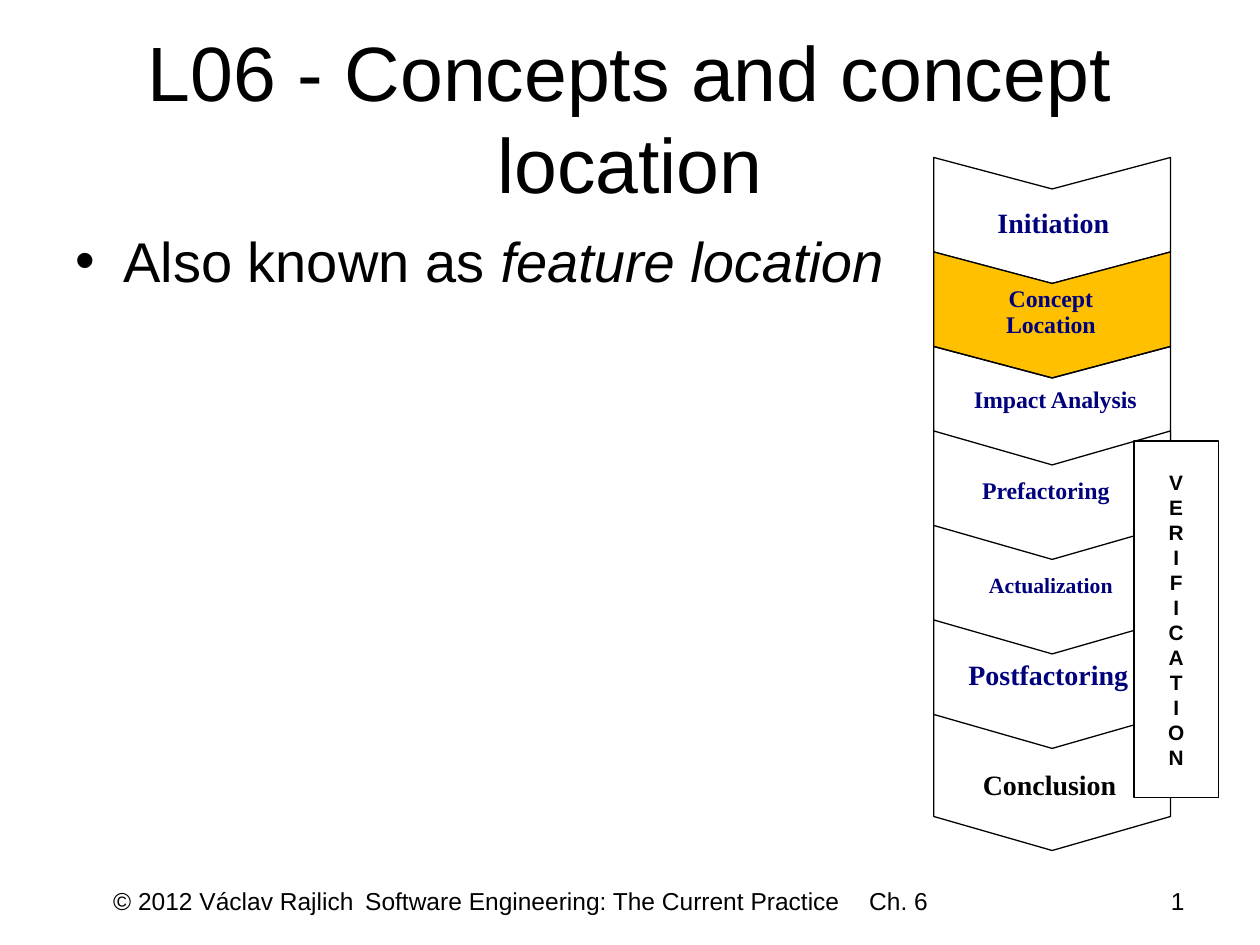
from typing import NamedTuple, Optional

from lxml.etree import SubElement
from pptx import Presentation
from pptx.dml.color import RGBColor
from pptx.enum.shapes import MSO_SHAPE
from pptx.enum.text import MSO_ANCHOR, MSO_AUTO_SIZE, PP_ALIGN
from pptx.oxml.ns import qn
from pptx.util import Inches, Pt

BLACK, WHITE, NAVY, AMBER = "000000", "FFFFFF", "00007D", "FFC000"
STAGE_WIDTH, STAGE_CENTER = 1.88, 8.35


class Stage(NamedTuple):
    name: str
    top: float
    height: float
    fill: Optional[str]
    label: tuple
    size: float
    spacing: float = 1.0
    color: str = NAVY


STAGES = [
    Stage("Initiation", 1.25, 1, WHITE, (7.67, 1.58, 1.38, 0.37), 16),
    Stage("Concept Location", 2, 1, AMBER, (7.53, 2.23, 1.62, 0.58), 13.6, 0.9),
    Stage("Impact Analysis", 2.75, 1, None, (7.5, 3.03, 1.75, 0.34), 13.6, 0.9),
    Stage("Prefactoring", 3.42, 1.08, WHITE, (7.53, 3.75, 1.54, 0.34), 13.6, 0.9),
    Stage("Actualization", 4.17, 1.08, WHITE, (7.57, 4.53, 1.54, 0.31), 12.4, 0.8),
    Stage("Postfactoring", 4.92, 1.08, WHITE, (7.42, 5.17, 1.8, 0.64), 16),
    Stage("Conclusion", 5.67, 1.08, WHITE, (7.56, 6.04, 1.54, 0.37), 16, color=BLACK),
]


def rgb(color: str) -> RGBColor:
    return RGBColor.from_string(color)


def place(shape, left: float, top: float, width: float, height: float) -> None:
    frame = {"left": left, "top": top, "width": width, "height": height}
    for name, value in frame.items():
        setattr(shape, name, Inches(value))


def add_span(para, text: str, size: float, color: str = BLACK, **formats) -> None:
    span = para.add_run()
    span.text = text
    values = {"name": "Arial", "size": Pt(size), "bold": False, **formats}
    for name, value in values.items():
        setattr(span.font, name, value)
    span.font.color.rgb = rgb(color)


def add_label(page, area: tuple, align):
    box = page.shapes.add_textbox(*map(Inches, area))
    box.text_frame.word_wrap = True
    para = box.text_frame.paragraphs[0]
    para.alignment = align
    return para


def add_outlined(page, kind, area: tuple, fill: Optional[str]):
    shape = page.shapes.add_shape(kind, *map(Inches, area))
    shape.shadow.inherit = False
    if fill:
        shape.fill.solid()
        shape.fill.fore_color.rgb = rgb(fill)
    else:
        shape.fill.background()
    shape.line.color.rgb = rgb(BLACK)
    shape.line.width = Pt(0.75)
    return shape


def add_chevron(page, stage: Stage) -> None:
    left = STAGE_CENTER - stage.height / 2
    top = stage.top + (stage.height - STAGE_WIDTH) / 2
    area = (left, top, stage.height, STAGE_WIDTH)
    chevron = add_outlined(page, MSO_SHAPE.CHEVRON, area, stage.fill)
    chevron.rotation = 90
    chevron.adjustments[0] = 0.25


def add_stage_label(page, stage: Stage) -> None:
    para = add_label(page, stage.label, PP_ALIGN.CENTER)
    para.line_spacing = stage.spacing
    add_span(para, stage.name, stage.size, stage.color, name="Times New Roman", bold=True)


def add_verification(page) -> None:
    box = add_outlined(page, MSO_SHAPE.RECTANGLE, (9, 3.5, 0.67, 2.83), WHITE)
    frame = box.text_frame
    frame.vertical_anchor = MSO_ANCHOR.MIDDLE
    for index, letter in enumerate("VERIFICATION"):
        para = frame.add_paragraph() if index else frame.paragraphs[0]
        para.alignment = PP_ALIGN.CENTER
        add_span(para, letter, 11.9, bold=True)


def fill_title(page) -> None:
    title = page.shapes.title
    place(title, 0.5, 0.3, 9, 1.25)
    title.text_frame.auto_size = MSO_AUTO_SIZE.NONE
    title.text_frame.vertical_anchor = MSO_ANCHOR.MIDDLE
    para = title.text_frame.paragraphs[0]
    para.alignment = PP_ALIGN.CENTER
    add_span(para, "L06 - Concepts and concept location", 44)


def fill_body(page) -> None:
    body = page.placeholders[1]
    place(body, 0.5, 1.75, 9, 4.95)
    body.text_frame.auto_size = MSO_AUTO_SIZE.NONE
    para = body.text_frame.paragraphs[0]
    properties = para._p.get_or_add_pPr()
    properties.set("marL", str(Inches(0.38)))
    properties.set("indent", str(Inches(-0.38)))
    SubElement(properties, qn("a:buChar"), char="•")
    para.space_before = Pt(0)
    add_span(para, "Also known as ", 32)
    add_span(para, "feature location", 32, italic=True)


def add_footer(page) -> None:
    para = add_label(page, (0.5, 6.98, 7.75, 0.52), PP_ALIGN.LEFT)
    properties = para._p.get_or_add_pPr()
    properties.set("marL", str(Inches(0.3)))
    properties.set("indent", "0")
    tabs = SubElement(properties, qn("a:tabLst"))
    for position in (2.85, 6.77):
        SubElement(tabs, qn("a:tab"), pos=str(Inches(position)), algn="l")
    add_span(para, "© 2012 Václav Rajlich\tSoftware Engineering: The Current Practice\tCh. 6", 14)
    number = add_label(page, (7.17, 6.98, 2.33, 0.52), PP_ALIGN.RIGHT)
    add_span(number, "1", 14)


def main() -> None:
    deck = Presentation()
    deck.slide_width, deck.slide_height = Inches(10), Inches(7.5)
    page = deck.slides.add_slide(deck.slide_layouts[1])
    fill_title(page)
    fill_body(page)
    add_footer(page)
    for stage in STAGES:
        add_chevron(page, stage)
    for stage in STAGES:
        add_stage_label(page, stage)
    add_verification(page)
    deck.save("out.pptx")


if __name__ == "__main__":
    main()
